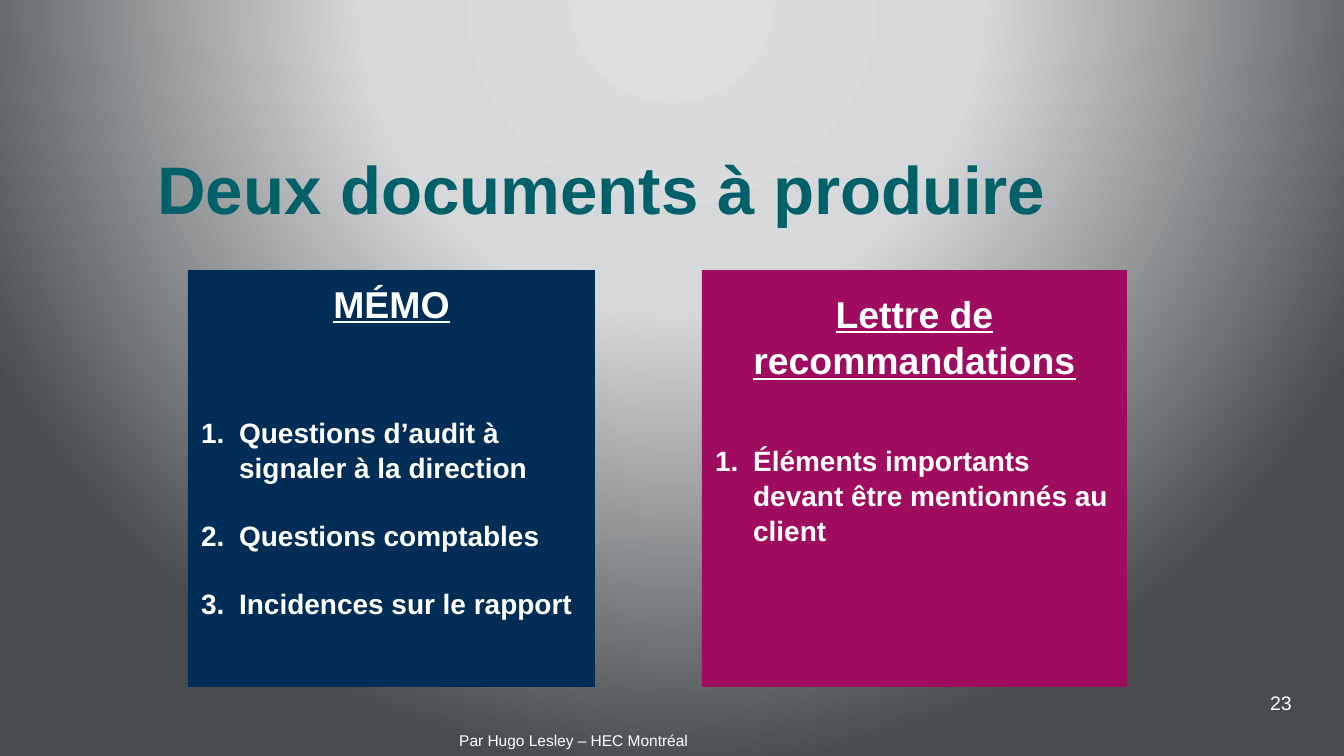
import pptx
import pptx.util
from lxml import etree
from pptx.dml.color import RGBColor
from pptx.enum.shapes import MSO_SHAPE
from pptx.enum.text import MSO_ANCHOR, PP_ALIGN
from pptx.oxml.ns import qn

# Content
TITLE = "Deux documents à produire"
PANELS = [
    {"heading": "MÉMO",
     "items": ["Questions d’audit à signaler à la direction",
               "Questions comptables", "Incidences sur le rapport"],
     "left": 188, "width": 407, "color": "navy", "inset": 9, "gap": 89},
    {"heading": "Lettre de recommandations",
     "items": ["Éléments importants devant être mentionnés au client"],
     "left": 702, "width": 425, "color": "magenta", "inset": 19, "gap": 60},
]
NOTES = [  # text, left, top, width, height, size
    ("23", 1257, 684, 60, 40, 10.5),
    ("Par Hugo Lesley – HEC Montréal", 446, 724, 270, 40, 8.3),
]
COLORS = {"teal": "00606A", "navy": "002D55", "magenta": "9F0B5E", "white": "FFFFFF"}
GRADIENT = [(0, "DCDEDF"), (40, "D6D8DA"), (100, "494C4F")]
GRADIENT_CENTER = {"l": 50, "t": -80, "r": 50, "b": 180}

# Layout
PANEL_TOP, PANEL_HEIGHT = 270, 417
ITEM_GAP, ITEM_INDENT = 33, 38
LINE_SPACING = 1.04
SCALE = 914400 / 134.4


def px(length):
    return pptx.util.Emu(round(length * SCALE))


def place(shape, left, top, width, height):
    shape.left, shape.top = px(left), px(top)
    shape.width, shape.height = px(width), px(height)


def write(para, text, size, color="white", bold=False, underline=False):
    para.text = text
    for span in para.runs:
        span.font.name = "Arial"
        span.font.size = pptx.util.Pt(size)
        span.font.bold = bold
        span.font.underline = underline
        span.font.color.rgb = RGBColor.from_string(COLORS[color])


def number(para):
    properties = para._p.get_or_add_pPr()
    properties.set("marL", str(px(ITEM_INDENT)))
    properties.set("indent", str(-px(ITEM_INDENT)))
    etree.SubElement(properties, qn("a:buAutoNum"), type="arabicPeriod")


def paint_background(page):
    fill = page.background.fill
    fill.gradient()
    gradient = fill._fill._gradFill
    for child in list(gradient):
        gradient.remove(child)
    stops = etree.SubElement(gradient, qn("a:gsLst"))
    for position, color in GRADIENT:
        stop = etree.SubElement(stops, qn("a:gs"), pos=str(position * 1000))
        etree.SubElement(stop, qn("a:srgbClr"), val=color)
    circle = etree.SubElement(gradient, qn("a:path"), path="circle")
    etree.SubElement(circle, qn("a:fillToRect"),
                     {side: str(value * 1000) for side, value in GRADIENT_CENTER.items()})


def add_panel(page, panel):
    box = page.shapes.add_shape(MSO_SHAPE.RECTANGLE, 0, 0, 0, 0)
    place(box, panel["left"], PANEL_TOP, panel["width"], PANEL_HEIGHT)
    box.shadow.inherit = False
    box.fill.solid()
    box.fill.fore_color.rgb = RGBColor.from_string(COLORS[panel["color"]])
    box.line.fill.background()
    frame = box.text_frame
    frame.word_wrap = True
    frame.vertical_anchor = MSO_ANCHOR.TOP
    frame.margin_top = px(panel["inset"])

    heading = frame.paragraphs[0]
    heading.alignment = PP_ALIGN.CENTER
    heading.line_spacing = LINE_SPACING
    write(heading, panel["heading"], 20, bold=True, underline=True)
    for index, item in enumerate(panel["items"]):
        para = frame.add_paragraph()
        para.alignment = PP_ALIGN.LEFT
        para.line_spacing = LINE_SPACING
        para.space_before = px(ITEM_GAP if index else panel["gap"])
        number(para)
        write(para, item, 15, bold=True)


deck = pptx.Presentation()
deck.slide_width, deck.slide_height = px(1344), px(756)
page = deck.slides.add_slide(deck.slide_layouts[5])
paint_background(page)

# Title
title = page.shapes.title
place(title, 144, 146, 1155, 83)
title.text_frame.vertical_anchor = MSO_ANCHOR.MIDDLE
title.text_frame.paragraphs[0].alignment = PP_ALIGN.LEFT
write(title.text_frame.paragraphs[0], TITLE, 36, "teal", bold=True)

# Two documents
for panel in PANELS:
    add_panel(page, panel)

# Page number and author
for text, left, top, width, height, size in NOTES:
    box = page.shapes.add_textbox(0, 0, 0, 0)
    place(box, left, top, width, height)
    box.text_frame.word_wrap = True
    write(box.text_frame.paragraphs[0], text, size)

deck.save("out.pptx")
